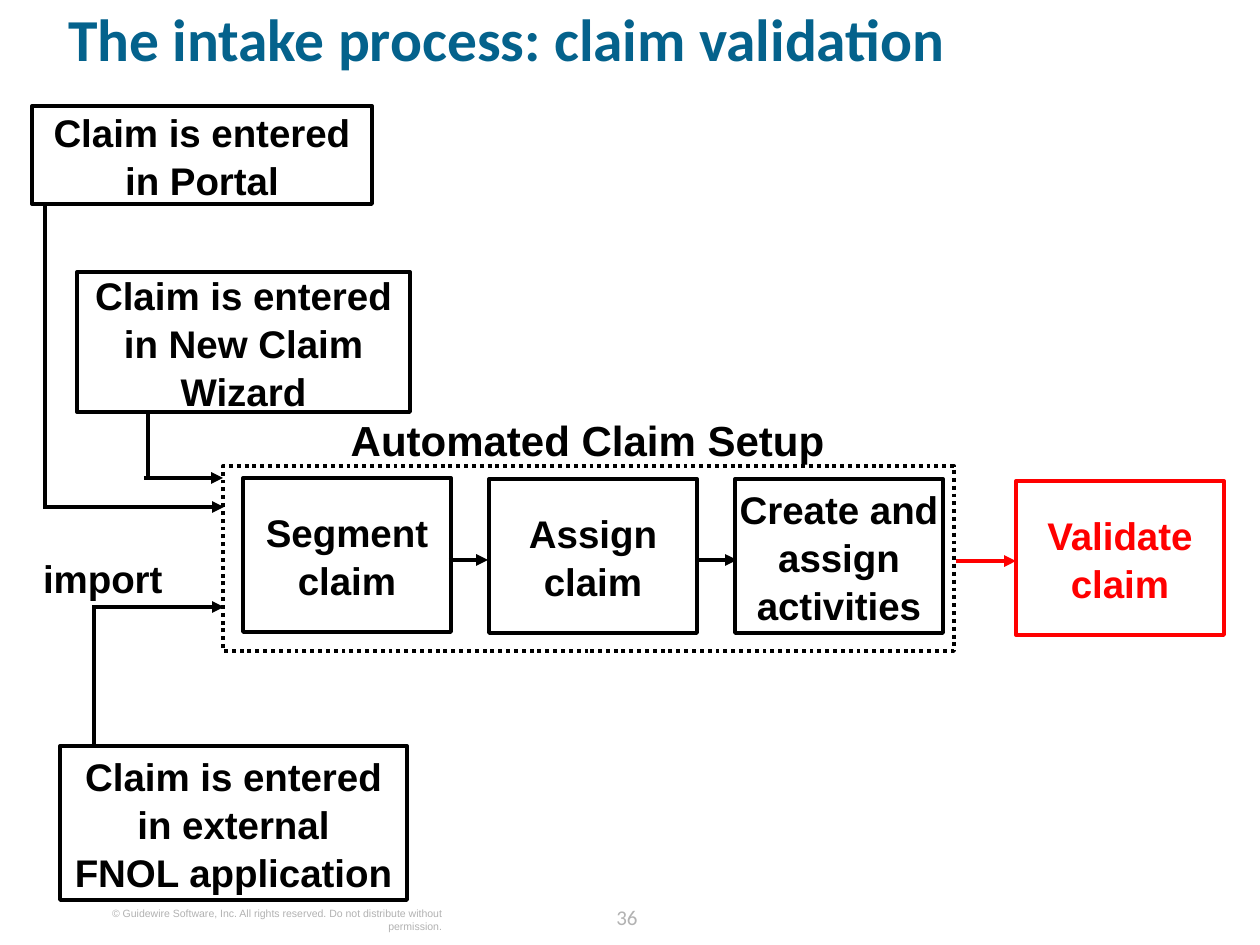
import pptx
import pptx.util
import pptx.dml.color
import pptx.enum.dml
import pptx.enum.shapes
import pptx.enum.text
import pptx.oxml.ns
from lxml import etree

PX = 914400 / 126
BLACK, RED, WHITE, GREY, TEAL = "000000", "FF0000", "FFFFFF", "B2B2B2", "04628C"
ALIGN = pptx.enum.text.PP_ALIGN
ANCHOR = pptx.enum.text.MSO_ANCHOR

# Content: lengths in px
TITLE = "The intake process: claim validation"
SETUP_FRAME = (223, 466, 731, 185)
SOURCES = [  # text, box
    ("Claim is entered in external\vFNOL application", (60, 746, 347, 154)),
    ("Claim is entered in New Claim Wizard", (77, 272, 333, 140)),
    ("Claim is entered in Portal", (32, 106, 340, 98)),
]
STEP_SIZE = (208, 154)
STEPS = [  # text, left, top, colour
    ("Segment\vclaim", 243, 478, BLACK),
    ("Assign\vclaim", 489, 479, BLACK),
    ("Create and assign activities", 735, 479, BLACK),
    ("Validate\vclaim", 1016, 481, RED),
]
LABELS = [  # text, box, size, align, font, colour, bold, line spacing
    ("Automated Claim Setup", (312, 412, 551, 50), 24, ALIGN.CENTER, "Arial", BLACK, True, 1.05),
    ("import", (43, 553, 145, 46), 22, ALIGN.LEFT, "Arial", BLACK, True, 1.05),
    ("36", (591, 898, 72, 32), 12, ALIGN.CENTER, "Calibri", GREY, False, pptx.util.Pt(18)),
    ("© Guidewire Software, Inc. All rights reserved. Do not distribute without permission.",
     (77, 906, 365, 25), 6, ALIGN.RIGHT, "Arial", GREY, False, 1.05),
]
LINES = [  # x1, y1, x2, y2, colour, arrowhead
    (148, 412, 148, 478, BLACK, False),
    (144, 478, 223, 478, BLACK, True),
    (449, 560, 488, 560, BLACK, True),
    (698, 560, 737, 560, BLACK, True),
    (956, 561, 1016, 561, RED, True),
    (94, 744, 94, 605, BLACK, False),
    (94, 607, 224, 607, BLACK, True),
    (45, 507, 224, 507, BLACK, True),
    (45, 204, 45, 509, BLACK, False),
]


def px(*values):
    return [round(v * PX) for v in values]


def rgb(color):
    return pptx.dml.color.RGBColor.from_string(color)


def write(tf, text, size, color, font="Arial", bold=True, align=ALIGN.CENTER,
          spacing=1.05, anchor=ANCHOR.TOP, inset=0):
    tf.word_wrap = True
    tf.auto_size = pptx.enum.text.MSO_AUTO_SIZE.NONE
    tf.vertical_anchor = anchor
    tf.margin_left = tf.margin_right = px(inset)[0]
    tf.margin_top = tf.margin_bottom = 0
    p = tf.paragraphs[0]
    p.alignment, p.line_spacing = align, spacing
    for i, line in enumerate(text.split("\v")):
        if i:
            p.add_line_break()
        r = p.add_run()
        r.text = line
        r.font.name, r.font.size, r.font.bold = font, pptx.util.Pt(size), bold
        r.font.color.rgb = rgb(color)


def add_box(box, color=BLACK, fill=WHITE):
    sp = s.shapes.add_shape(pptx.enum.shapes.MSO_SHAPE.RECTANGLE, *px(*box))
    sp.shadow.inherit = False
    if fill:
        sp.fill.solid()
        sp.fill.fore_color.rgb = rgb(fill)
    else:
        sp.fill.background()
    sp.line.color.rgb = rgb(color)
    sp.line.width = pptx.util.Pt(2.25)
    return sp


def add_line(x1, y1, x2, y2, color, arrow):
    c = s.shapes.add_connector(pptx.enum.shapes.MSO_CONNECTOR.STRAIGHT, *px(x1, y1, x2, y2))
    c.line.color.rgb = rgb(color)
    c.line.width = pptx.util.Pt(2.25)
    if arrow:
        etree.SubElement(c.line._get_or_add_ln(), pptx.oxml.ns.qn("a:tailEnd"), type="triangle")
    etree.SubElement(c._element.spPr, pptx.oxml.ns.qn("a:effectLst"))


prs = pptx.Presentation()
prs.slide_width, prs.slide_height = px(1260, 945)
s = prs.slides.add_slide(prs.slide_layouts[5])

# Title
title = s.shapes.title
title.left, title.top, title.width, title.height = px(68, 16, 1147, 102)
write(title.text_frame, TITLE, 34, TEAL, "Calibri", align=ALIGN.LEFT, spacing=0.8)

# Dotted frame around the automated steps
frame = add_box(SETUP_FRAME, fill=None)
frame.line.dash_style = pptx.enum.dml.MSO_LINE.ROUND_DOT

# Claim sources and process steps
for text, box in SOURCES:
    write(add_box(box).text_frame, text, 22, BLACK, anchor=ANCHOR.MIDDLE, inset=12)
for text, left, top, color in STEPS:
    sp = add_box((left, top, *STEP_SIZE), color)
    write(sp.text_frame, text, 22, color, anchor=ANCHOR.MIDDLE)

# Labels and footer
for text, box, size, align, font, color, bold, spacing in LABELS:
    tb = s.shapes.add_textbox(*px(*box))
    write(tb.text_frame, text, size, color, font, bold, align, spacing)

# Arrows
for line in LINES:
    add_line(*line)

prs.save("out.pptx")
